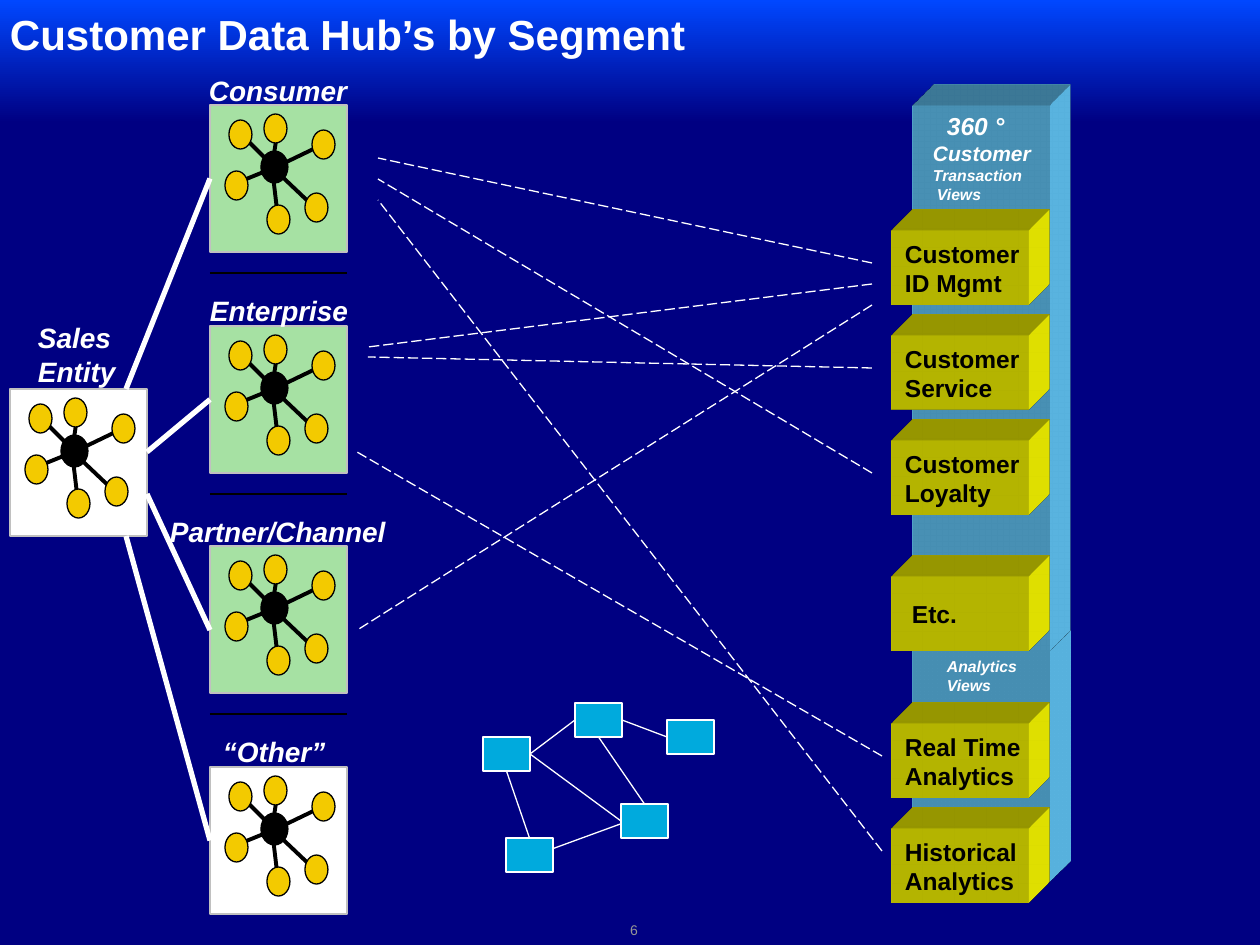
from lxml import etree
from pptx import Presentation, util as u
from pptx.dml.color import RGBColor
from pptx.enum import dml, shapes, text
from pptx.oxml import parse_xml
from pptx.oxml.ns import qn

SCALE = 914400 / 126
COLORS = {
    "navy": "000082", "blue": "0047FF", "white": "FFFFFF", "black": "000000",
    "gray": "969696", "silver": "C0C0C0", "sky": "66CCFF", "yellow": "FFFF00",
    "green": "A6E1A3", "gold": "F3CA00", "cyan": "00AADD",
}
NS = 'xmlns:a="http://schemas.openxmlformats.org/drawingml/2006/main"'
SCENE = f"""<a:scene3d {NS}><a:camera prst="legacyObliqueTopRight"/>
<a:lightRig rig="legacyFlat3" dir="b"/></a:scene3d>"""
DEPTH = """<a:sp3d {} extrusionH="430200" prstMaterial="legacyMatte">
<a:bevelT w="13500" h="13500" prst="angle"/><a:bevelB w="13500" h="13500" prst="angle"/>
<a:extrusionClr><a:srgbClr val="{}"/></a:extrusionClr></a:sp3d>"""

prs = Presentation()
prs.slide_width, prs.slide_height = u.Inches(10), u.Inches(7.5)
slide = prs.slides.add_slide(prs.slide_layouts[6])
backdrop = slide.background.fill
backdrop.gradient()
backdrop.gradient_angle = 90
for stop, position, color in zip(backdrop.gradient_stops, (0.87, 1), ("navy", "blue")):
    stop.position = position
    stop.color.rgb = RGBColor.from_string(COLORS[color])


def px(*values):
    return [u.Emu(round(value * SCALE)) for value in values]


def draw(parent, kind, box, fill=None, line=None, width=0.75, dash=False, lines=(), size=16,
         color="white", bold=True, italic=False, anchor="TOP", inset=(13, 6), wrap=False,
         spacing=None, extrude=False):
    if kind == "line":
        item = parent.add_connector(shapes.MSO_CONNECTOR.STRAIGHT, *px(*box))
        etree.SubElement(item._element.spPr, qn("a:effectLst"))
    elif kind == "text":
        item = parent.add_textbox(*px(*box))
    else:
        item = parent.add_shape(shapes.MSO_SHAPE[kind], *px(*box))
        item.shadow.inherit = False
        item.fill.solid()
        item.fill.fore_color.rgb = RGBColor.from_string(COLORS[fill])
        if not line:
            item.line.fill.background()
    if line:
        item.line.color.rgb = RGBColor.from_string(COLORS[line])
        item.line.width = u.Pt(width)
        if dash:
            item.line.dash_style = dml.MSO_LINE.LONG_DASH
    if extrude:
        item._element.spPr.append(parse_xml(SCENE))
        item._element.spPr.append(parse_xml(DEPTH.format(NS, COLORS[fill])))
    if lines:
        frame = item.text_frame
        frame.word_wrap = wrap
        frame.vertical_anchor = text.MSO_ANCHOR[anchor]
        frame.margin_left, frame.margin_top = px(*inset)
        frame.margin_right, frame.margin_bottom = px(*inset)
        for index, (words, indent, points) in enumerate(lines):
            paragraph = frame.add_paragraph() if index else frame.paragraphs[0]
            paragraph.alignment = text.PP_ALIGN.LEFT
            paragraph.line_spacing = spacing
            paragraph._p.get_or_add_pPr().set("marL", str(px(indent)[0]))
            run = paragraph.add_run()
            run.text = words
            run.font.name = "Arial"
            run.font.size = u.Pt(points or size)
            run.font.bold, run.font.italic = bold, italic
            run.font.color.rgb = RGBColor.from_string(COLORS[color])
    return item


canvas = slide.shapes
draw(canvas, "text", (630, 920, 42, 19), lines=[("6", 0, 8)], color="gray", bold=False,
     anchor="MIDDLE", inset=(0, 0))
draw(canvas, "text", (10, 0, 998, 73), lines=[("Customer Data Hub’s by Segment", 0, 24)],
     anchor="MIDDLE", inset=(0, 0), wrap=True, spacing=0.95)

for y, height, views in [
    (651, 231, [("Analytics", 21, 9), ("Views", 21, 9)]),
    (105, 546, [("360 °", 21, 14), ("Customer", 7, 12), ("Transaction", 7, 9),
                ("Views", 11, 9)]),
]:
    draw(canvas, "RECTANGLE", (913, y, 137, height), "sky", lines=views, italic=True,
         wrap=True, extrude=True)

for y, names, indent in [
    (829, ("Historical", "Analytics"), 0), (724, ("Real Time", "Analytics"), 0),
    (577, ("Etc.",), 7), (441, ("Customer", "Loyalty"), 0),
    (336, ("Customer", "Service"), 0), (231, ("Customer", "ID Mgmt"), 0),
]:
    draw(canvas, "RECTANGLE", (892, y, 137, 74), "yellow", size=14, color="black",
         lines=[(name, indent, None) for name in names], anchor="MIDDLE", extrude=True)

SPOKES = [(62, 64, 118, 37), (64, 64, 103, 101), (68, 113, 61, 54),
          (24, 79, 61, 64), (30, 28, 64, 62), (62, 62, 68, 23)]
NODES = [(19, 15), (102, 25), (15, 66), (95, 88), (57, 100), (54, 9)]
cards = []
for x, y, fill in [(210, 105, "green"), (210, 326, "green"), (210, 546, "green"),
                   (210, 767, "white"), (10, 389, "white")]:
    hub = canvas.add_group_shape().shapes
    cards.append(draw(hub, "RECTANGLE", (x, y, 137, 147), fill, "silver"))
    for x1, y1, x2, y2 in SPOKES:
        draw(hub, "line", (x + x1, y + y1, x + x2, y + y2), line="black", width=2.25)
    draw(hub, "OVAL", (x + 51, y + 46, 27, 32), "black", "black")
    for dx, dy in NODES:
        draw(hub, "OVAL", (x + dx, y + dy, 23, 29), "gold", "black")

for y in (273, 494, 714):
    draw(canvas, "line", (210, y, 347, y), line="black")

for box, names, indent in [
    ((196, 68, 180, 47), ("Consumer",), 0), ((197, 287, 172, 47), ("Enterprise",), 0),
    ((157, 509, 250, 47), ("Partner/Channel",), 0), ((210, 729, 136, 47), ("“Other”",), 0),
    ((19, 315, 122, 81), ("Sales", "Entity"), 6),
]:
    draw(canvas, "text", box, lines=[(name, indent, None) for name in names], italic=True)

for x1, y1, x2, y2, card in [(126, 389, 210, 179, 0), (147, 452, 210, 399, 1),
                             (147, 494, 210, 630, None), (126, 536, 210, 840, 3)]:
    branch = draw(canvas, "line", (x1, y1, x2, y2), line="white", width=3)
    if card is not None:
        branch.end_connect(cards[card], 1)

for flow in [(872, 305, 359, 629), (882, 756, 357, 452), (872, 473, 378, 179),
             (872, 368, 368, 357), (872, 284, 368, 347), (872, 263, 378, 158),
             (882, 851, 378, 200)]:
    draw(canvas, "line", flow, line="white", dash=True)

network = canvas.add_group_shape().shapes
draw(network, "line", (552, 849, 645, 815), line="white")
top, middle, right, bottom, left = [
    draw(network, "RECTANGLE", (x, y, 47, 34), "cyan", "white")
    for x, y in [(575, 703), (621, 804), (667, 720), (506, 838), (483, 737)]]
for start, start_side, end, end_side in [(left, 2, bottom, 0), (left, 3, middle, 1),
                                         (top, 3, right, 1), (top, 2, middle, 0),
                                         (left, 3, top, 1)]:
    link = draw(network, "line", (0, 0, 1, 1), line="white")
    link.begin_connect(start, start_side)
    link.end_connect(end, end_side)

prs.save("out.pptx")
